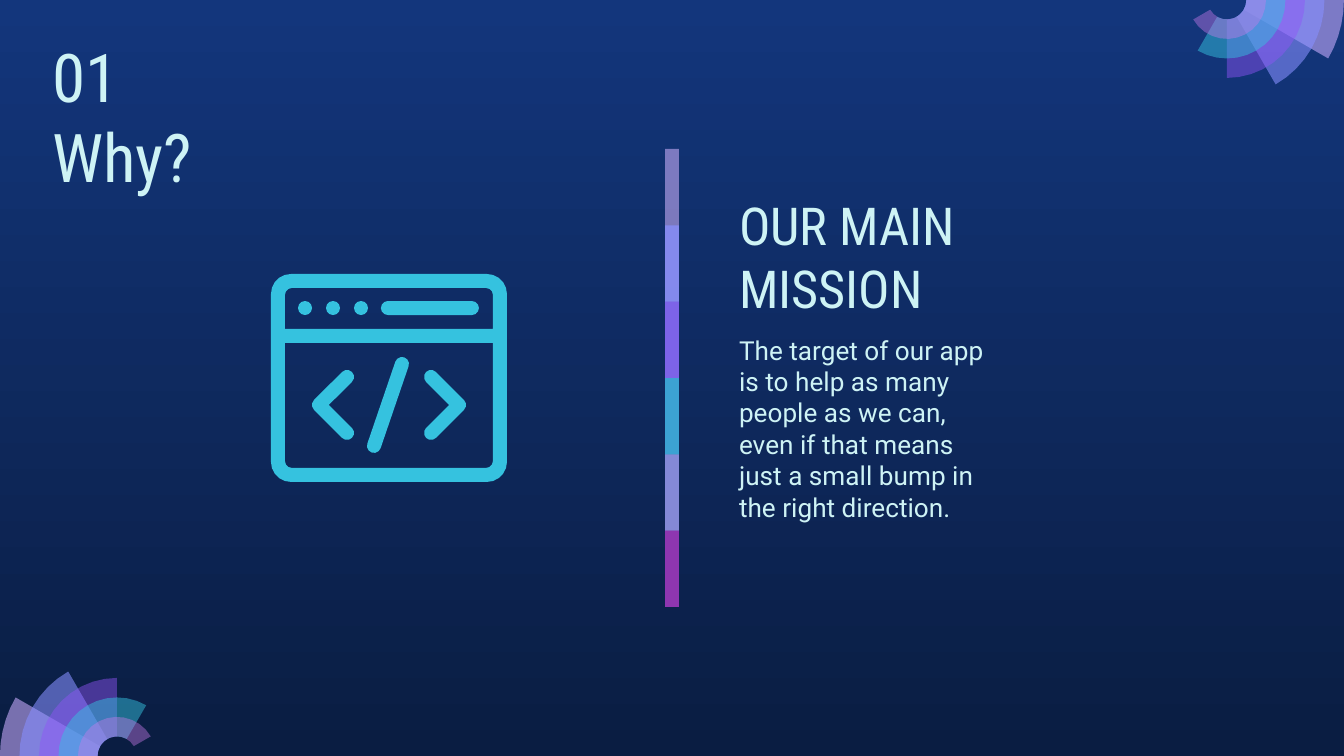
from math import acos, atan2, ceil, cos, degrees, radians, sin, sqrt

from lxml import etree
from pptx import Presentation
from pptx.dml.color import RGBColor
from pptx.enum.shapes import MSO_SHAPE
from pptx.enum.text import MSO_ANCHOR, MSO_AUTO_SIZE, PP_ALIGN
from pptx.oxml.ns import qn
from pptx.util import Pt

RECTANGLE = MSO_SHAPE.RECTANGLE
ROUNDED = MSO_SHAPE.ROUNDED_RECTANGLE
OVAL = MSO_SHAPE.OVAL
TOP, BOTTOM = MSO_ANCHOR.TOP, MSO_ANCHOR.BOTTOM
LEFT = PP_ALIGN.LEFT
NO_AUTOFIT = MSO_AUTO_SIZE.NONE

EMU_PER_PX = 914400 / 134.4
WIDTH, HEIGHT = 1344, 756
CURVE_TOLERANCE = 0.25

COLORS = {
    "sky": "13367C", "night": "0A1D42", "text": "CEF3F5", "cyan": "35C2DF",
    "lilac": "C8AEF8", "lavender": "C8ACFD", "periwinkle": "878FFF",
    "violet": "9154F8", "orchid": "CA7BEB", "purple": "972CB4",
}
BAR_BANDS = [("lilac", 59), ("periwinkle", 74), ("violet", 53),
             ("cyan", 76), ("orchid", 56), ("purple", 74)]
FAN_RINGS = [("lavender", 58), ("periwinkle", 58), ("violet", 46),
             ("cyan", 49), ("orchid", 42)]


def px(length):
    return round(length * EMU_PER_PX)


def color(name):
    return RGBColor.from_string(COLORS[name])


def paint(shape, name, opacity=100):
    shape.shadow.inherit = False
    shape.line.fill.background()
    shape.fill.solid()
    shape.fill.fore_color.rgb = color(name)
    if opacity < 100:
        rgb = shape.element.spPr.find(qn("a:solidFill")).find(qn("a:srgbClr"))
        etree.SubElement(rgb, qn("a:alpha"), val=str(opacity * 1000))


def add_preset(group, kind, box, name, opacity=100):
    shape = group.shapes.add_shape(kind, *map(px, box))
    paint(shape, name, opacity)
    return shape


def add_outline(group, origin, contours, name, opacity=100):
    left, top = origin
    builder = None
    for contour in contours:
        points = [(px(left + x), px(top + y)) for x, y in contour]
        if builder is None:
            builder = group.shapes.build_freeform(*points[0])
        else:
            builder.move_to(*points[0])
        builder.add_line_segments(points[1:], close=True)
    paint(builder.convert_to_shape(), name, opacity)


def arc(x, y, radius, start, end):
    if radius == 0:
        return [(x, y)]
    largest_step = degrees(2 * acos(1 - CURVE_TOLERANCE / radius))
    steps = ceil(abs(end - start) / largest_step)
    angles = [radians(start + (end - start) * i / steps) for i in range(steps + 1)]
    return [(x + radius * cos(a), y + radius * sin(a)) for a in angles]


def rounded_box(left, top, right, bottom, top_radius, bottom_radius):
    corners = [(left, top, 1, 1, top_radius, 180), (right, top, -1, 1, top_radius, 270),
               (right, bottom, -1, -1, bottom_radius, 0),
               (left, bottom, 1, -1, bottom_radius, 90)]
    return [point for x, y, dx, dy, radius, start in corners
            for point in arc(x + dx * radius, y + dy * radius, radius, start, start + 90)]


def capsule(x1, y1, x2, y2, radius):
    angle = degrees(atan2(y2 - y1, x2 - x1))
    return (arc(x1, y1, radius, angle + 90, angle + 270)
            + arc(x2, y2, radius, angle - 90, angle + 90))


def chevron(tip_x, tip_y, reach, radius):
    end_x = tip_x + reach
    return (arc(end_x, tip_y - reach, radius, -135, 45)
            + [(tip_x + radius * sqrt(2), tip_y)]
            + arc(end_x, tip_y + reach, radius, -45, 135)
            + arc(tip_x, tip_y, radius, 135, 225))


def add_divider(slide, left, top, width, height):
    group = slide.shapes.add_group_shape()
    band = height / len(BAR_BANDS)
    for i, (name, opacity) in enumerate(BAR_BANDS):
        band_height = min(2 * band, height - i * band)
        add_preset(group, RECTANGLE, (left, top + i * band, width, band_height),
                   name, opacity)


def add_fan(slide, center_x, center_y, radius, turn):
    group = slide.shapes.add_group_shape()
    step = radius / 6
    for i, (name, opacity) in enumerate(FAN_RINGS):
        sweep = turn + 30 * (i + 1)
        ring = arc(0, 0, radius - i * step, turn, sweep) + arc(0, 0, step, sweep, turn)
        add_outline(group, (center_x, center_y), [ring], name, opacity)


def add_code_window(slide, left, top, width, height):
    group = slide.shapes.add_group_shape()
    stroke = 14
    radius = stroke / 2
    origin = (left, top)
    right, bottom = width - stroke, height - stroke
    frame = [rounded_box(0, 0, width, height, 20, 20),
             rounded_box(stroke, stroke, right, 55, 7, 0),
             rounded_box(stroke, 69, right, bottom, 0, 7)]
    add_outline(group, origin, frame, "cyan")
    for i in range(3):
        add_preset(group, OVAL, (left + 27 + 28 * i, top + 27, stroke, stroke), "cyan")
    address = add_preset(group, ROUNDED, (left + 110, top + 27, 98, stroke), "cyan")
    address.adjustments[0] = 0.5
    opening = chevron(48, 131, 28, radius)
    closing = [(width - x, y) for x, y in opening]
    slash = capsule(131, 90, 103, 172, radius)
    for outline in (closing, opening, slash):
        add_outline(group, origin, [outline], "cyan")


def set_text(shape, box, text, font_name, size, anchor=TOP, margin=13):
    shape.left, shape.top, shape.width, shape.height = map(px, box)
    frame = shape.text_frame
    frame.text = text
    frame.word_wrap = True
    frame.auto_size = NO_AUTOFIT
    frame.vertical_anchor = anchor
    frame.margin_left = frame.margin_right = px(13)
    frame.margin_top = frame.margin_bottom = px(margin)
    paragraph = frame.paragraphs[0]
    paragraph.alignment = LEFT
    paragraph.space_before = Pt(0)
    paragraph.font.name = font_name
    paragraph.font.size = Pt(size)
    paragraph.font.color.rgb = color("text")
    return paragraph


def add_mission(slide, left, top, width):
    set_text(slide.shapes.title, (left, top, width, 142),
             "OUR MAIN\vMISSION", "Roboto Condensed", 28, BOTTOM)
    paragraph = set_text(
        slide.placeholders[1], (left, top + 131, width, 265),
        "The target of our app is to help as many people as we can, "
        "even if that means just a small bump in the right direction.", "Roboto", 14)
    properties = paragraph._p.get_or_add_pPr()
    properties.set("marL", "0")
    properties.set("indent", "0")
    properties.insert_element_before(
        etree.SubElement(properties, qn("a:buNone")), "a:tabLst", "a:defRPr", "a:extLst")


def add_section_label(slide, box):
    label = slide.shapes.add_textbox(*map(px, box))
    set_text(label, box, "01 Why?", "Roboto Condensed", 36, margin=6)


def set_background(slide):
    fill = slide.background.fill
    fill.gradient()
    fill.gradient_angle = 270
    for stop, name in zip(fill.gradient_stops, ("sky", "night")):
        stop.color.rgb = color(name)


def main():
    presentation = Presentation()
    presentation.slide_width, presentation.slide_height = px(WIDTH), px(HEIGHT)
    slide = presentation.slides.add_slide(presentation.slide_layouts[1])
    set_background(slide)
    add_divider(slide, 665, 149, 14, 458)
    add_mission(slide, 726, 190, 280)
    add_code_window(slide, 271, 274, 236, 208)
    add_fan(slide, 117, HEIGHT, 117, 180)
    add_fan(slide, WIDTH - 117, 0, 117, 0)
    add_section_label(slide, (39, 29, 195, 176))
    presentation.save("out.pptx")


if __name__ == "__main__":
    main()
